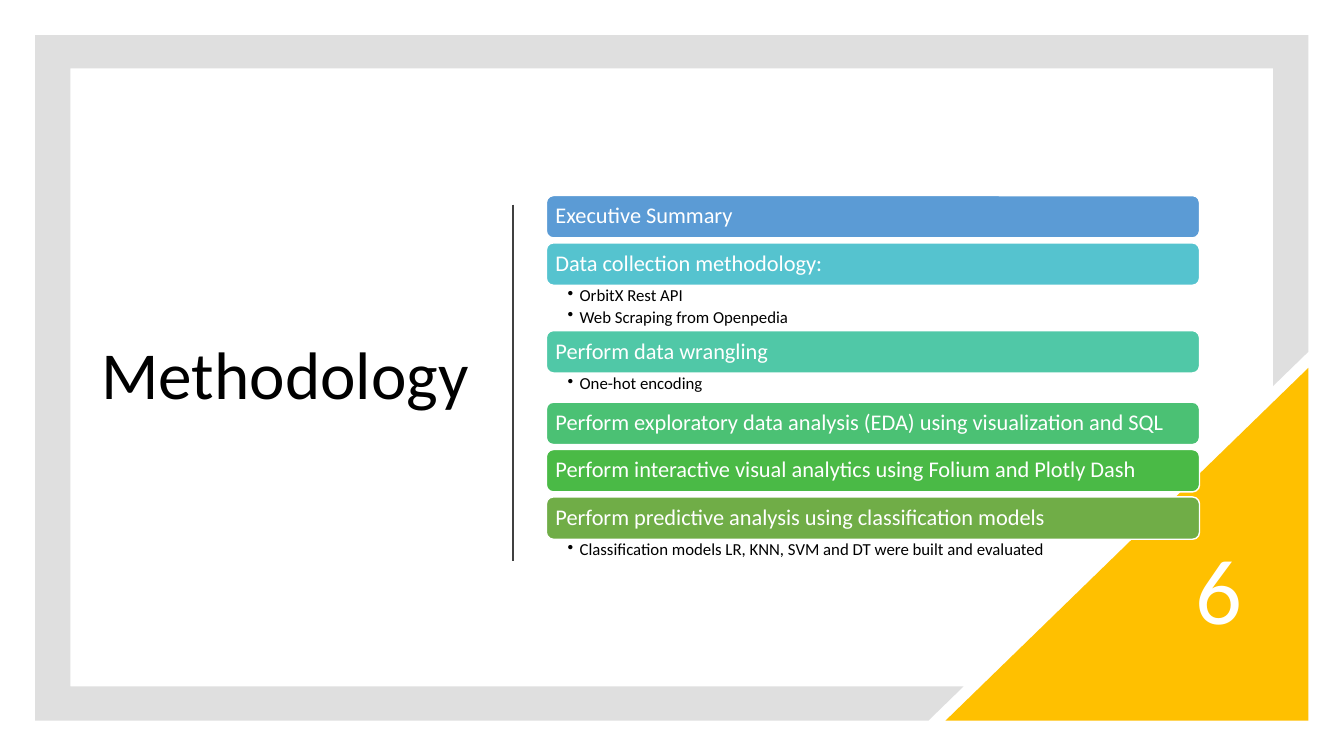
from pptx import Presentation, util as u
from pptx.dml import color
from pptx.enum import shapes, text
from lxml import etree

# Grid: cells of a tenth of an inch
CELL = 91440
COLS, ROWS = 133.33, 75
MARGIN = 3.5
RIGHT, BOTTOM = 129.8, ROWS - MARGIN
A = "{http://schemas.openxmlformats.org/drawingml/2006/main}"
C = dict(frame="808080", corner="FFC000", rule="404040", dark="000000", light="FFFFFF")


def grid(*cells):
    return [u.Emu(round(n * CELL)) for n in cells]


def write(tf, lines, size, colour, align=text.PP_ALIGN.LEFT, anchor=text.MSO_ANCHOR.MIDDLE,
          insets=(1, 0.5, 1, 0.5), bullet=False):
    tf.word_wrap = True
    tf.vertical_anchor = anchor
    tf.margin_left, tf.margin_top, tf.margin_right, tf.margin_bottom = grid(*insets)
    for i, line in enumerate(lines):
        p = tf.paragraphs[0] if i == 0 else tf.add_paragraph()
        p.alignment, p.line_spacing = align, 0.9
        if bullet:
            p.space_after = u.Pt(2.4)
            pPr = p._p.get_or_add_pPr()
            pPr.set("marL", str(round(1.2 * CELL)))
            pPr.set("indent", str(round(-1.2 * CELL)))
            etree.SubElement(pPr, A + "buChar", char="•")
        r = p.add_run()
        r.text = line
        r.font.name, r.font.size = "Calibri", u.Pt(size)
        r.font.color.rgb = color.RGBColor.from_string(C[colour])


prs = Presentation()
prs.slide_width, prs.slide_height = grid(COLS, ROWS)
s = prs.slides.add_slide(prs.slide_layouts[6])

# Grey frame, cut along the corner diagonal
outline = [(MARGIN, MARGIN), (RIGHT, MARGIN), (RIGHT, 34.9), (126.3, 38.3), (126.3, 6.8),
           (7, 6.8), (7, 68.1), (95.6, 68.1), (92.1, BOTTOM), (MARGIN, BOTTOM)]
points = [grid(*pt) for pt in outline]
fb = s.shapes.build_freeform(*points[0])
fb.add_line_segments(points[1:], close=True)
sp = fb.convert_to_shape()
sp.shadow.inherit = False
sp.fill.solid()
sp.fill.fore_color.rgb = color.RGBColor.from_string(C["frame"])
etree.SubElement(sp.fill._xPr.find(f"{A}solidFill/{A}srgbClr"), A + "alpha", val="25000")
sp.line.fill.background()

# Yellow corner
sp = s.shapes.add_shape(shapes.MSO_SHAPE.RIGHT_TRIANGLE, *grid(RIGHT - 36, BOTTOM - 35, 36, 35))
sp._element.spPr.find(A + "xfrm").set("flipH", "1")
sp.shadow.inherit = False
sp.fill.solid()
sp.fill.fore_color.rgb = color.RGBColor.from_string(C["corner"])
sp.line.fill.background()

# Title and page number
for label, box, size, colour in [("Methodology", (8.9, 13, 38.6, 49), 48, "dark"),
                                 ("6", (105.9, 53.5, 18.3, 11), 66, "light")]:
    tb = s.shapes.add_textbox(*grid(*box))
    write(tb.text_frame, [label], size, colour, text.PP_ALIGN.RIGHT)

# Vertical rule
rule = s.shapes.add_connector(shapes.MSO_CONNECTOR.STRAIGHT, *grid(50.9, 20.3, 50.9, 55.7))
rule.line.color.rgb = color.RGBColor.from_string(C["rule"])
rule.line.width = u.Pt(1.5)
etree.SubElement(rule._element.spPr, A + "effectLst")

# Stacked steps: a bar each, followed by its bullets or a small gap
steps = [
    ("5B9BD5", "Executive Summary", []),
    ("55C3CF", "Data collection methodology:", ["OrbitX Rest API", "Web Scraping from Openpedia"]),
    ("50C8A7", "Perform data wrangling", ["One-hot encoding"]),
    ("4BC174", "Perform exploratory data analysis (EDA) using visualization and SQL", []),
    ("4ABA46", "Perform interactive visual analytics using Folium and Plotly Dash", []),
    ("70AD47", "Perform predictive analysis using classification models",
     ["Classification models LR, KNN, SVM and DT were built and evaluated"]),
]
LEFT, WIDTH, BAR = 54.2, 64.8, 4.2
BELOW = {0: 0.5, 1: 2.9, 2: 4.5}
top = 19.4
for fill, heading, bullets in steps:
    sp = s.shapes.add_shape(shapes.MSO_SHAPE.ROUNDED_RECTANGLE, *grid(LEFT, top, WIDTH, BAR))
    sp.shadow.inherit = False
    sp.fill.solid()
    sp.fill.fore_color.rgb = color.RGBColor.from_string(fill)
    sp.line.color.rgb = color.RGBColor.from_string(C["light"])
    sp.line.width = u.Pt(1)
    # The preset adds its corner inset to the left margin
    write(sp.text_frame, [heading], 16, "light", insets=(0.7, 0.7, 0.7, 0.7))
    top += BAR
    if bullets:
        tb = s.shapes.add_textbox(*grid(LEFT, top, WIDTH, BELOW[len(bullets)]))
        write(tb.text_frame, bullets, 12, "dark", anchor=text.MSO_ANCHOR.TOP,
              insets=(2.1, 0.2, 1.2, 0.2), bullet=True)
    top += BELOW[len(bullets)]

prs.save("out.pptx")
